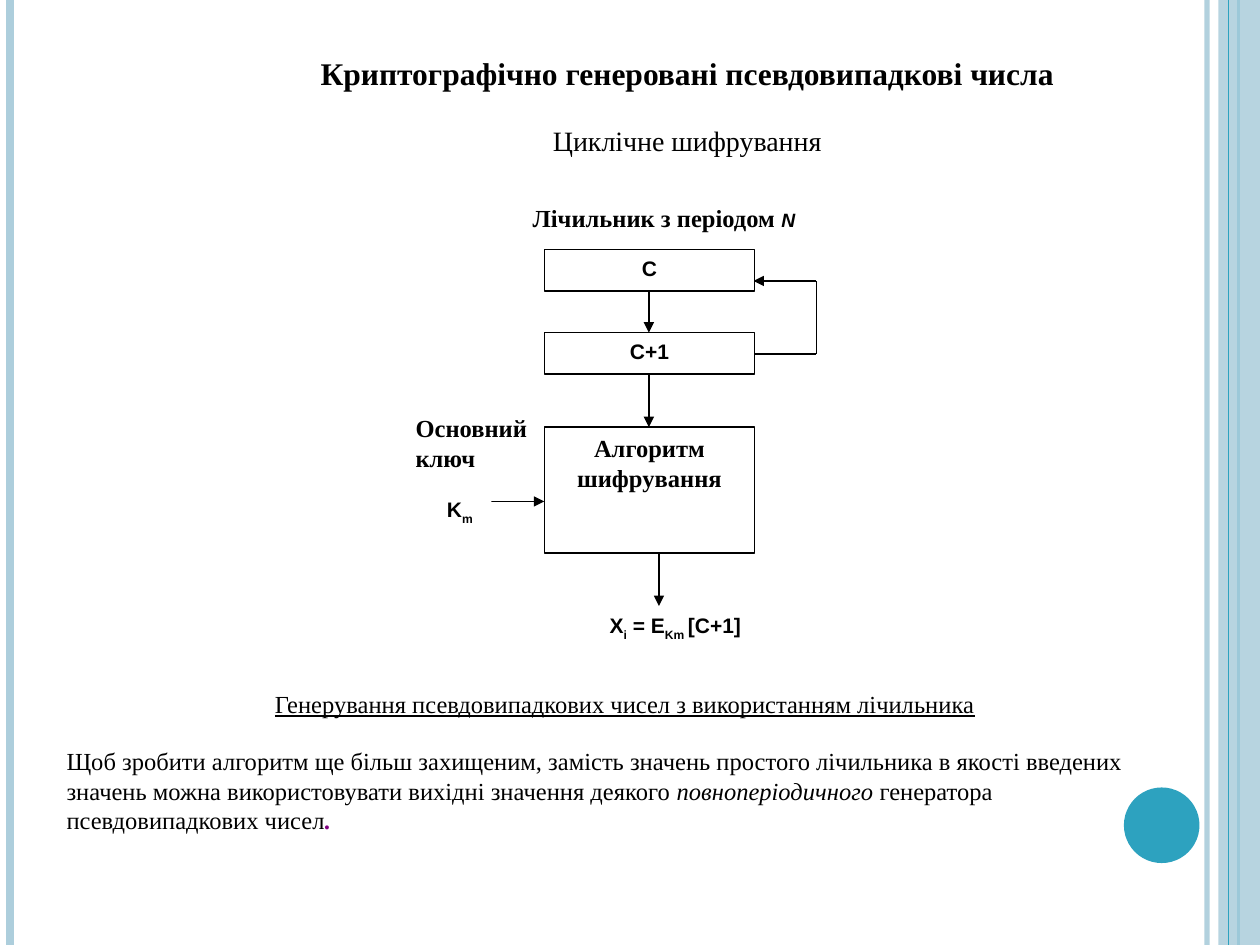
from dataclasses import dataclass

from lxml import etree
from pptx import Presentation
from pptx import util as u
from pptx.dml import color
from pptx.enum import shapes, text
from pptx.oxml import ns


@dataclass(frozen=True)
class Theme:
    ink: str = "000000"
    paper: str = "FFFFFF"
    accent: str = "2DA2BF"
    pale: str = "ADCEDC"
    purple: str = "800080"
    serif: str = "Times New Roman"
    sans: str = "Arial"
    title: int = 18
    subtitle: int = 16
    label: int = 14
    symbol: int = 12
    period: int = 11


theme = Theme()
SERIF = dict(name=theme.serif, size=theme.label)
BOLD = dict(SERIF, bold=True)
SYMBOL = dict(name=theme.sans, size=theme.symbol, bold=True)
SUB = dict(SYMBOL, sub=True)


def add_runs(p, runs, align):
    p.alignment = align
    for words, look in runs:
        r = p.add_run()
        r.text = words
        r.font.color.rgb = color.RGBColor.from_string(look.get("color", theme.ink))
        for key, value in look.items():
            if key == "sub":
                r.font._element.set("baseline", "-30000")
            elif key != "color":
                setattr(r.font, key, u.Pt(value) if key == "size" else value)


def add_line(x1, y1, x2, y2, rgb=theme.ink, width=0.75, arrow=False):
    c = s.shapes.add_connector(shapes.MSO_CONNECTOR.STRAIGHT,
                               *map(u.Inches, (x1, y1, x2, y2)))
    c.line.color.rgb = color.RGBColor.from_string(rgb)
    c.line.width = u.Pt(width)
    if arrow:
        etree.SubElement(c.line._get_or_add_ln(), ns.qn("a:tailEnd"), type="triangle")
    etree.SubElement(c._element.spPr, ns.qn("a:effectLst"))
    return c


prs = Presentation()
prs.slide_width, prs.slide_height = u.Inches(10), u.Inches(7.5)
s = prs.slides.add_slide(prs.slide_layouts[5])
CENTER, LEFT = text.PP_ALIGN.CENTER, text.PP_ALIGN.LEFT

# Side stripes, band and circle
stripe = add_line(9.58, 0, 9.58, 7.5, theme.pale, 3)
add_line(0.08, 0, 0.08, 7.5, theme.pale, 4.5)
add_line(9.83, 0, 9.83, 7.5, theme.accent, 1.5)
decor = []
for kind, box, rgb in [
    (shapes.MSO_SHAPE.RECTANGLE, (9.67, 0, 0.33, 7.5), theme.pale),
    (shapes.MSO_SHAPE.OVAL, (8.92, 6.25, 0.6, 0.6), theme.accent),
]:
    sp = s.shapes.add_shape(kind, *map(u.Inches, box))
    sp.shadow.inherit = False
    sp.fill.solid()
    sp.fill.fore_color.rgb = color.RGBColor.from_string(rgb)
    sp.line.fill.background()
    decor.append(sp)
add_line(9.75, 0, 9.75, 7.5, theme.accent)
for part, opacity in [(stripe, 93), (decor[0], 87)]:
    clr = next(part._element.spPr.iter(ns.qn("a:srgbClr")))
    etree.SubElement(clr, ns.qn("a:alpha"), val=str(opacity * 1000))

# Title and subtitle
sp = s.shapes.title
for key, value in dict(left=2.43, top=0.37, width=6.05, height=0.94).items():
    setattr(sp, key, u.Inches(value))
tf = sp.text_frame
for key, value in dict(word_wrap=False, auto_size=text.MSO_AUTO_SIZE.NONE,
                       vertical_anchor=text.MSO_ANCHOR.MIDDLE).items():
    setattr(tf, key, value)
add_runs(tf.paragraphs[0], [("Криптографічно генеровані псевдовипадкові числа",
                             dict(BOLD, size=theme.title))], CENTER)
p = tf.add_paragraph()
p.space_before = u.Pt(18)
add_runs(p, [("Циклічне шифрування", dict(SERIF, size=theme.subtitle))], CENTER)

# Flow diagram: box, outlined, alignment, runs
blocks = [
    ((3.2, 3.23, 1.11, 0.58), False, LEFT, [("Основний ключ", BOLD)]),
    ((4.06, 1.56, 2.42, 0.33), False, CENTER,
     [("Лічильник з періодом ", BOLD),
      ("N", dict(SYMBOL, size=theme.period, italic=True))]),
    ((4.32, 1.98, 1.67, 0.33), True, CENTER, [("C", SYMBOL)]),
    ((4.32, 2.64, 1.67, 0.33), True, CENTER, [("C+1", SYMBOL)]),
    ((4.32, 3.39, 1.67, 1), True, CENTER, [("Алгоритм шифрування", BOLD)]),
    ((3.4, 3.89, 0.5, 0.33), False, CENTER, [("K", SYMBOL), ("m", SUB)]),
    ((4.15, 4.81, 2.42, 0.42), False, CENTER,
     [("X", SYMBOL), ("i", SUB), (" = E", SYMBOL), ("Km ", SUB), ("[C+1]", SYMBOL)]),
]

# Arrows come first so that the white key label covers the start of its arrow
for x1, y1, x2, y2, arrow in [
    (5.15, 2.31, 5.15, 2.64, True),
    (5.15, 2.98, 5.15, 3.39, True),
    (5.98, 2.81, 6.48, 2.81, False),
    (6.48, 2.81, 6.48, 2.23, False),
    (6.48, 2.23, 5.98, 2.23, True),
    (3.82, 3.98, 4.32, 3.98, True),
    (5.23, 4.39, 5.23, 4.81, True),
]:
    add_line(x1, y1, x2, y2, arrow=arrow)

for box, outlined, align, runs in blocks:
    sp = s.shapes.add_shape(shapes.MSO_SHAPE.RECTANGLE, *map(u.Inches, box))
    sp.shadow.inherit = False
    sp.fill.solid()
    sp.fill.fore_color.rgb = color.RGBColor.from_string(theme.paper)
    if outlined:
        sp.line.color.rgb = color.RGBColor.from_string(theme.ink)
        sp.line.width = u.Pt(0.75)
    else:
        sp.line.fill.background()
    tf = sp.text_frame
    tf.word_wrap = True
    tf.vertical_anchor = text.MSO_ANCHOR.TOP
    add_runs(tf.paragraphs[0], runs, align)

# Caption and explanation
tf = s.shapes.add_textbox(*map(u.Inches, (0.43, 5.41, 9.06, 1.27))).text_frame
tf.word_wrap = True
tf.vertical_anchor = text.MSO_ANCHOR.MIDDLE
add_runs(tf.paragraphs[0], [
    ("Генерування псевдовипадкових чисел з використанням лічильника",
     dict(SERIF, underline=True))], CENTER)
p = tf.add_paragraph()
p.space_before = u.Pt(16)
add_runs(p, [
    ("Щоб зробити алгоритм ще більш захищеним, замість значень простого лічильника "
     "в якості введених значень можна використовувати вихідні значення деякого ", SERIF),
    ("повноперіодичного", dict(SERIF, italic=True)),
    (" генератора псевдовипадкових чисел", SERIF),
    (".", dict(BOLD, italic=True, color=theme.purple)),
], LEFT)

prs.save("out.pptx")
